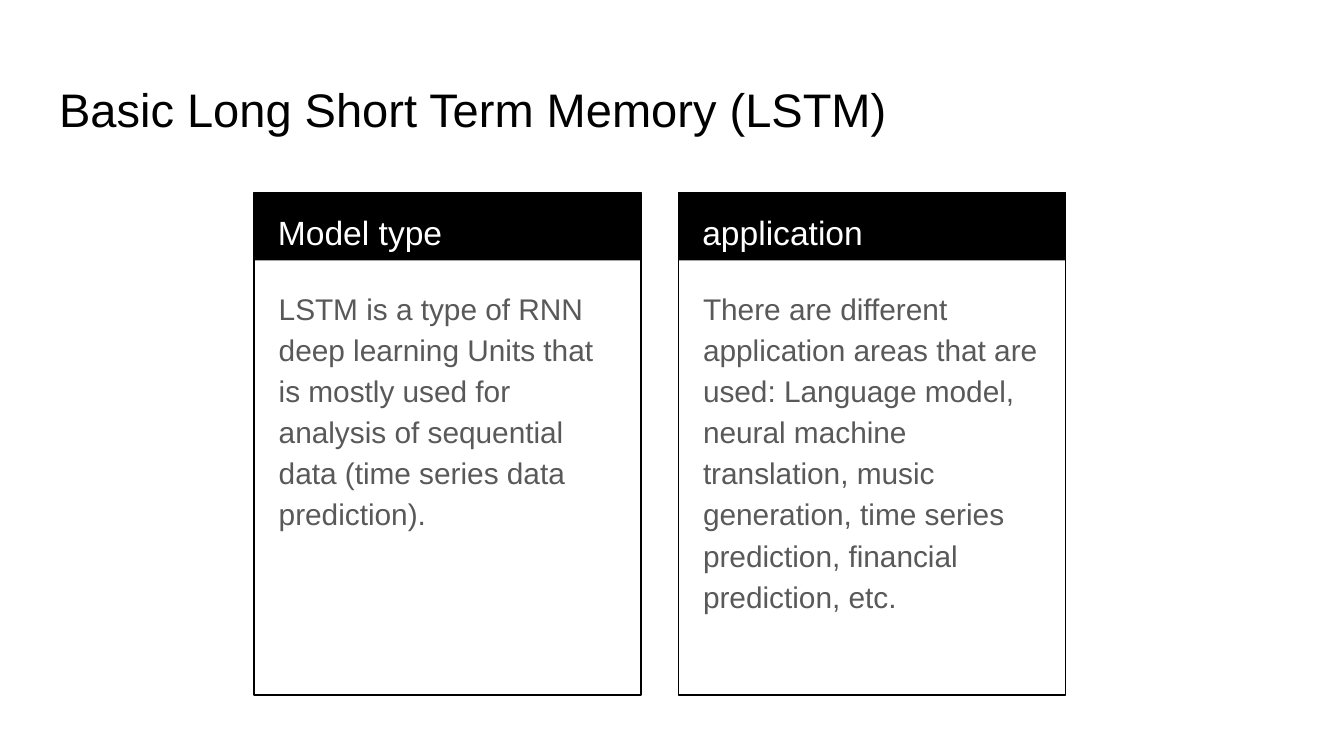
import dataclasses

import pptx
import pptx.dml.color
import pptx.enum.shapes
import pptx.enum.text
import pptx.oxml.ns
import pptx.util
from lxml import etree

Pt = pptx.util.Pt
ANCHOR = pptx.enum.text.MSO_ANCHOR
COLORS = {"ink": "000000", "head": "FFFFFF", "body": "595959"}
TOP, WIDTH, BAND, HEIGHT = 103, 207.4, 36.5, 269.3


@dataclasses.dataclass
class Card:
    left: float
    head: str
    body: str
    slots: tuple[int, int]


CARDS = [
    Card(136.1, "Model type",
         "LSTM is a type of RNN deep learning Units that is mostly used for "
         "analysis of sequential data (time series data prediction).", (1, 2)),
    Card(363.4, "application",
         "There are different application areas that are used: Language model, "
         "neural machine translation, music generation, time series prediction, "
         "financial prediction, etc.", (3, 4)),
]


def color(name: str) -> pptx.dml.color.RGBColor:
    return pptx.dml.color.RGBColor.from_string(COLORS[name])


def place(shape, left: float, top: float, width: float, height: float) -> None:
    shape.left, shape.top = Pt(left), Pt(top)
    shape.width, shape.height = Pt(width), Pt(height)


def write(shape, text: str, size: float, tint: str, anchor=ANCHOR.TOP):
    frame = shape.text_frame
    frame.text = text
    frame.word_wrap = True
    frame.auto_size = pptx.enum.text.MSO_AUTO_SIZE.NONE
    frame.vertical_anchor = anchor
    frame.margin_left = frame.margin_right = Pt(7.2)
    frame.margin_top = frame.margin_bottom = Pt(7.2)
    line = frame.paragraphs[0]
    line.alignment = pptx.enum.text.PP_ALIGN.LEFT
    line.space_before = Pt(0)
    line.font.name = "Arial"
    line.font.size = Pt(size)
    line.font.bold = False
    line.font.color.rgb = color(tint)
    return line


def fill_body(shape, text: str, size: float, tint: str, after: float) -> None:
    line = write(shape, text, size, tint)
    line.line_spacing = 1.15
    line.space_after = Pt(after)
    props = line._p.get_or_add_pPr()
    props.set("marL", "0")
    props.set("indent", "0")
    bullet = etree.Element(pptx.oxml.ns.qn("a:buNone"))
    props.find(pptx.oxml.ns.qn("a:defRPr")).addprevious(bullet)
    shape.element.getparent().append(shape.element)


def add_box(slide, left: float, height: float, solid: bool) -> None:
    box = slide.shapes.add_shape(
        pptx.enum.shapes.MSO_SHAPE.RECTANGLE,
        Pt(left), Pt(TOP), Pt(WIDTH), Pt(height))
    box.shadow.inherit = False
    if solid:
        box.fill.solid()
        box.fill.fore_color.rgb = color("ink")
        box.line.fill.background()
    else:
        box.fill.background()
        box.line.color.rgb = color("ink")
        box.line.width = Pt(0.75)


def draw_card(slide, card: Card) -> None:
    add_box(slide, card.left, BAND, True)
    add_box(slide, card.left, HEIGHT, False)
    holders = {item.placeholder_format.idx: item for item in slide.placeholders}
    head, body = (holders[slot] for slot in card.slots)
    place(head, card.left + 5.6, TOP, 196.6, 36)
    fill_body(head, card.head, 18, "head", 0)
    place(body, card.left + 6, TOP + 42.4, 195.1, 220.3)
    fill_body(body, card.body, 16, "body", 12)


def main() -> None:
    deck = pptx.Presentation()
    deck.slide_width, deck.slide_height = Pt(720), Pt(405)
    slide = deck.slides.add_slide(deck.slide_layouts[4])
    title = slide.shapes.title
    place(title, 24.5, 35.3, 671, 45.4)
    write(title, "Basic Long Short Term Memory (LSTM)", 25.2, "ink", ANCHOR.MIDDLE)
    for card in CARDS:
        draw_card(slide, card)
    deck.save("out.pptx")


if __name__ == "__main__":
    main()
